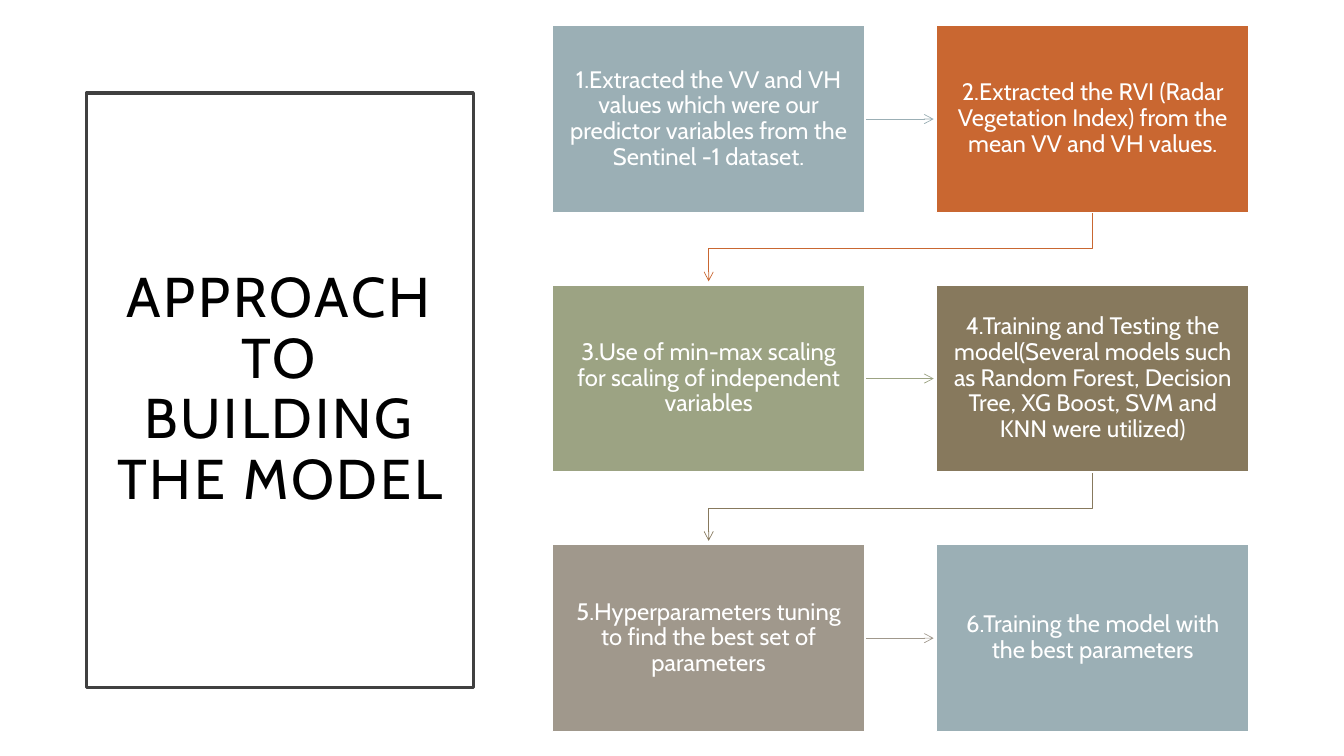
from dataclasses import dataclass

from lxml.etree import SubElement
from pptx import Presentation
from pptx.dml.color import RGBColor
from pptx.enum.shapes import MSO_CONNECTOR, MSO_SHAPE
from pptx.enum.text import MSO_ANCHOR, PP_ALIGN
from pptx.oxml.ns import qn
from pptx.util import Cm, Pt


@dataclass(frozen=True)
class Theme:
    font: str = "Cabin"
    white: str = "FFFFFF"
    black: str = "000000"
    frame: str = "404040"
    blue: str = "9BAFB5"
    rust: str = "C96731"
    sage: str = "9CA383"
    olive: str = "87795D"
    taupe: str = "A0988C"
    title: int = 40
    body: int = 17


class Deck:
    def __init__(self, theme, slide):
        self.theme = theme
        self.slide = slide

    def box(self, area, text, fill, line, width, size, color, pad):
        """Draw a filled rectangle with centred text; area and pad are in cm."""
        shape = self.slide.shapes.add_shape(MSO_SHAPE.RECTANGLE, *map(Cm, area))
        shape.shadow.inherit = False
        shape.fill.solid()
        shape.fill.fore_color.rgb = RGBColor.from_string(fill)
        shape.line.color.rgb = RGBColor.from_string(line)
        shape.line.width = Pt(width)
        frame = shape.text_frame
        frame.word_wrap = True
        frame.vertical_anchor = MSO_ANCHOR.MIDDLE
        frame.margin_left = frame.margin_right = Cm(pad)
        frame.margin_top = frame.margin_bottom = Cm(pad)
        para = frame.paragraphs[0]
        para.text = text
        para.alignment = PP_ALIGN.CENTER
        para.line_spacing = 0.9
        para.font.name = self.theme.font
        para.font.size = Pt(size)
        para.font.color.rgb = RGBColor.from_string(color)
        return para

    def title(self, area, text):
        look = self.theme
        para = self.box(area, text, look.white, look.frame, 2.5,
                        look.title, look.black, 0.51)
        para.runs[0]._r.get_or_add_rPr().set("spc", "200")

    def step(self, area, text, fill):
        look = self.theme
        self.box(area, text, fill, look.white, 1, look.body, look.white, 0.39)

    def arrow(self, points, color):
        """Draw a thin line through the points, in cm, with a head at the end."""
        points = [(Cm(x), Cm(y)) for x, y in points]
        shapes = self.slide.shapes
        if len(points) == 2:
            link = shapes.add_connector(MSO_CONNECTOR.STRAIGHT,
                                        *points[0], *points[1])
        else:
            path = shapes.build_freeform(*points[0])
            path.add_line_segments(points[1:], close=False)
            link = path.convert_to_shape()
            link.fill.background()
        link.line.color.rgb = RGBColor.from_string(color)
        link.line.width = Pt(0.5)
        SubElement(link.line._get_or_add_ln(), qn("a:tailEnd"), type="arrow")
        SubElement(link._element.spPr, qn("a:effectLst"))


def main():
    show = Presentation()
    show.slide_width, show.slide_height = Cm(33.87), Cm(19.05)
    look = Theme()
    deck = Deck(look, show.slides.add_slide(show.slide_layouts[6]))
    deck.title((2.18, 2.34, 9.75, 14.99), "APPROACH TO BUILDING THE MODEL")

    steps = [
        ("1.Extracted the VV and VH values which were our predictor variables "
         "from the Sentinel -1 dataset.", look.blue),
        ("2.Extracted the RVI (Radar Vegetation Index) from the mean VV and "
         "VH values.", look.rust),
        ("3.Use of min-max scaling for scaling of independent variables",
         look.sage),
        ("4.Training and Testing the model(Several models such as Random "
         "Forest, Decision Tree, XG Boost, SVM and KNN were utilized)",
         look.olive),
        ("5.Hyperparameters tuning to find the best set of parameters",
         look.taupe),
        ("6.Training the model with the best parameters", look.blue),
    ]
    left, top, wide, high = 13.92, 0.64, 7.88, 4.72
    across, down, reach, bend = 9.68, 6.54, 1.73, 0.91

    for i, (text, color) in enumerate(steps):
        row, col = divmod(i, 2)
        x, y = left + col * across, top + row * down
        if col == 0:
            mid = y + high / 2
            deck.arrow([(x + wide, mid), (x + wide + reach, mid)], color)
        elif i < len(steps) - 1:
            start, base = x + wide / 2, y + high
            end = start - across
            deck.arrow([(start, base), (start, base + bend),
                        (end, base + bend), (end, base + reach)], color)
        deck.step((x, y, wide, high), text, color)

    show.save("out.pptx")


if __name__ == "__main__":
    main()
